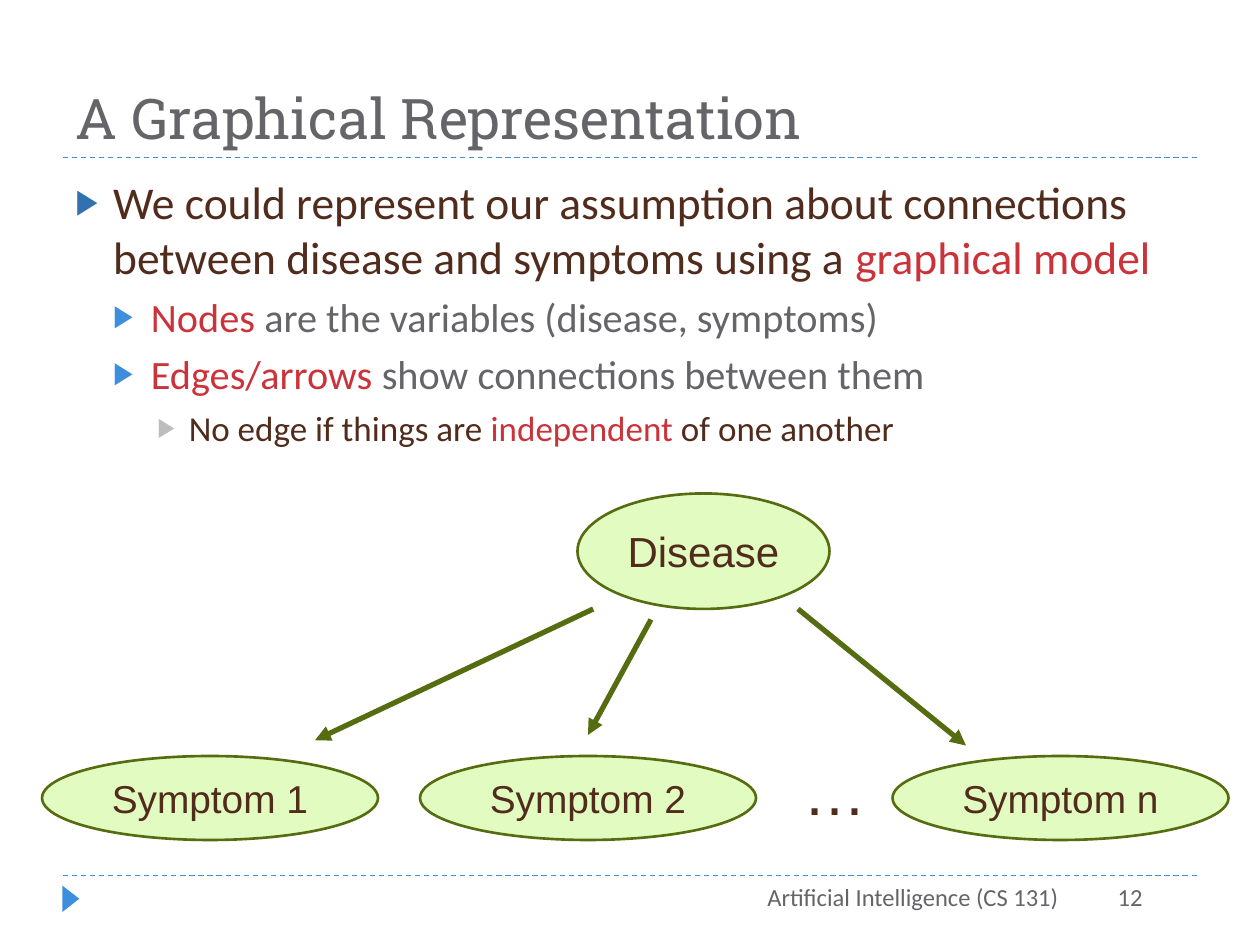
from lxml.etree import SubElement
from pptx import Presentation
from pptx.dml.color import RGBColor
from pptx.enum.dml import MSO_LINE
from pptx.enum.shapes import MSO_CONNECTOR, MSO_SHAPE
from pptx.enum.text import MSO_ANCHOR, PP_ALIGN
from pptx.oxml.ns import qn
from pptx.util import Inches, Pt

BROWN = RGBColor(0x51, 0x2C, 0x1D)
GRAY = RGBColor(0x64, 0x64, 0x69)
RED = RGBColor(0xCB, 0x33, 0x3B)
BLUE = RGBColor(0x3E, 0x8E, 0xDE)
DARK_BLUE = RGBColor(0x30, 0x71, 0xAE)
SILVER = RGBColor(0xBD, 0xBD, 0xBD)
OLIVE = RGBColor(0x56, 0x6C, 0x11)
LIME = RGBColor(0xE1, 0xFB, 0xC0)


class GraphSlide:
    COLUMNS, ROWS = 120, 90
    TITLE_FONT, BODY_FONT, NODE_FONT = "Roboto Slab", "Calibri", "Arial"
    # level: indent, hanging, space before, size, bullet colour
    LEVELS = [
        (0.3, 0.3, 6, 26, DARK_BLUE),
        (0.6, 0.3, 5, 23, BLUE),
        (0.9, 0.25, 5, 20, SILVER),
    ]

    def __init__(self, deck):
        self.cell_width = deck.slide_width / self.COLUMNS
        self.cell_height = deck.slide_height / self.ROWS
        self.slide = deck.slides.add_slide(deck.slide_layouts[5])

    def place(self, column, row, columns, rows):
        return (round(column * self.cell_width), round(row * self.cell_height),
                round(columns * self.cell_width), round(rows * self.cell_height))

    def add_run(self, paragraph, words, size, color, font):
        run = paragraph.add_run()
        run.text = words
        run.font.size = Pt(size)
        run.font.name = font
        run.font.color.rgb = color

    def title(self, words, *cells):
        heading = self.slide.shapes.title
        heading.left, heading.top, heading.width, heading.height = self.place(*cells)
        heading.text_frame.vertical_anchor = MSO_ANCHOR.BOTTOM
        paragraph = heading.text_frame.paragraphs[0]
        paragraph.alignment = PP_ALIGN.LEFT
        self.add_run(paragraph, words, 32, GRAY, self.TITLE_FONT)

    def frame(self, *cells):
        frame = self.slide.shapes.add_textbox(*self.place(*cells)).text_frame
        frame.word_wrap = True
        return frame

    def label(self, words, *cells, size=14, color=GRAY, font=BODY_FONT,
              align=PP_ALIGN.RIGHT, anchor=MSO_ANCHOR.TOP):
        frame = self.frame(*cells)
        frame.vertical_anchor = anchor
        frame.paragraphs[0].alignment = align
        self.add_run(frame.paragraphs[0], words, size, color, font)

    def outline(self, points, *cells):
        frame = self.frame(*cells)
        for index, (level, runs) in enumerate(points):
            paragraph = frame.add_paragraph() if index else frame.paragraphs[0]
            indent, hanging, before, size, bullet_color = self.LEVELS[level]
            paragraph.level = level
            paragraph.space_before = Pt(before)
            properties = paragraph._p.get_or_add_pPr()
            properties.set("marL", str(Inches(indent)))
            properties.set("indent", str(-Inches(hanging)))
            tint = SubElement(properties, qn("a:buClr"))
            SubElement(tint, qn("a:srgbClr"), val=str(bullet_color))
            SubElement(properties, qn("a:buSzPct"), val="76000")
            SubElement(properties, qn("a:buFont"), typeface=self.NODE_FONT)
            SubElement(properties, qn("a:buChar"), char="▶")
            for words, color in runs:
                self.add_run(paragraph, words, size, color, self.BODY_FONT)

    def shape(self, kind, fill, *cells):
        shape = self.slide.shapes.add_shape(kind, *self.place(*cells))
        shape.shadow.inherit = False
        shape.fill.solid()
        shape.fill.fore_color.rgb = fill
        return shape

    def marker(self, *cells):
        triangle = self.shape(MSO_SHAPE.ISOSCELES_TRIANGLE, BLUE, *cells)
        triangle.rotation = 90
        triangle.line.fill.background()

    def node(self, words, size, *cells):
        ellipse = self.shape(MSO_SHAPE.OVAL, LIME, *cells)
        ellipse.line.color.rgb = OLIVE
        ellipse.line.width = Pt(1.5)
        frame = ellipse.text_frame
        frame.vertical_anchor = MSO_ANCHOR.MIDDLE
        frame.paragraphs[0].alignment = PP_ALIGN.CENTER
        self.add_run(frame.paragraphs[0], words, size, BROWN, self.NODE_FONT)

    def connector(self, color, width, *ends):
        connector = self.slide.shapes.add_connector(
            MSO_CONNECTOR.STRAIGHT, *self.place(*ends))
        connector.line.color.rgb = color
        connector.line.width = Pt(width)
        SubElement(connector._element.spPr, qn("a:effectLst"))
        return connector

    def rule(self, row):
        self.connector(BLUE, 0.75, 6, row, 114, row).line.dash_style = MSO_LINE.DASH

    def arrow(self, *ends):
        edge = self.connector(OLIVE, 3, *ends)
        SubElement(edge.line._get_or_add_ln(), qn("a:tailEnd"), type="triangle")


def main():
    deck = Presentation()
    deck.slide_width, deck.slide_height = Inches(10), Inches(7.5)
    graph = GraphSlide(deck)

    for row in (83.4, 15):
        graph.rule(row)
    graph.marker(5.5, 84.8, 2.5, 1.6)
    graph.title("A Graphical Representation", 6, 2, 108, 13)
    graph.outline([
        (0, [("We could represent our assumption about connections between "
              "disease and symptoms using a ", BROWN), ("graphical model", RED)]),
        (1, [("Nodes ", RED), ("are the variables (disease, symptoms)", GRAY)]),
        (1, [("Edges/arrows ", RED), ("show connections between them", GRAY)]),
        (2, [("No edge if things are ", BROWN), ("independent ", RED),
             ("of one another", BROWN)]),
    ], 6, 16, 108, 64.8)
    graph.label("Artificial Intelligence (CS 131)", 46, 83.4, 56, 4.8)
    graph.label("12", 97, 83.4, 13, 4.8)

    graph.node("Disease", 24, 55, 47, 24, 11)
    for suffix, column in (("1", 4), ("2", 40), ("n", 85)):
        graph.node(f"Symptom {suffix}", 22.2, column, 72, 32, 8)
    graph.label("…", 75, 71, 9, 8.5, size=36, color=BROWN, font=graph.NODE_FONT,
                align=PP_ALIGN.CENTER, anchor=MSO_ANCHOR.MIDDLE)
    for ends in ((56.5, 58, 30, 70.5), (62, 59, 56, 70), (76, 58, 92, 71)):
        graph.arrow(*ends)

    deck.save("out.pptx")


if __name__ == "__main__":
    main()
